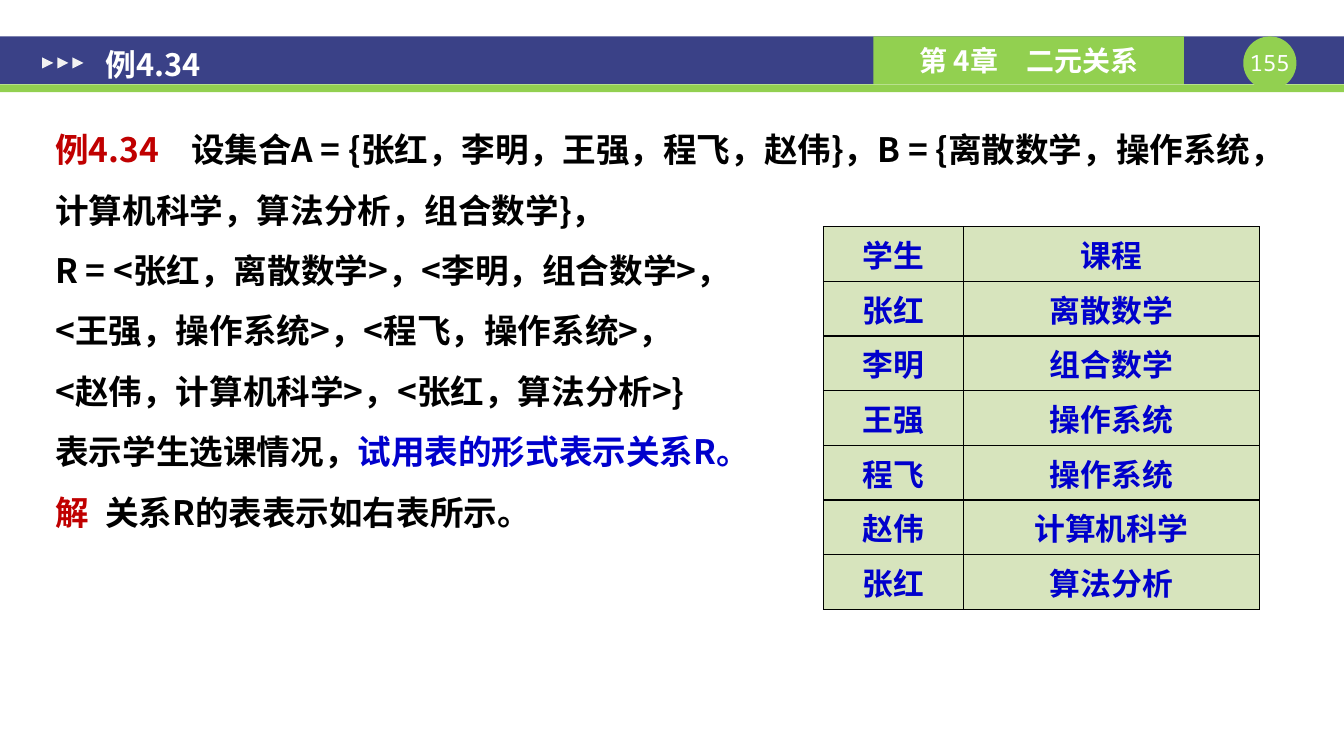
from pptx import Presentation
from pptx.dml.color import RGBColor
from pptx.enum.shapes import MSO_SHAPE as SHAPE
from pptx.enum.text import MSO_ANCHOR as ANCHOR, MSO_AUTO_SIZE as AUTO, PP_ALIGN as ALIGN
from pptx.oxml import parse_xml
from pptx.oxml.ns import nsdecls, qn
from pptx.util import Pt

# Content
TITLE = "例4.34"
CHAPTER = "第 4章　二元关系"
PAGE = "155"
NAVY, GREEN, WHITE, BLACK = "3A4187", "92D050", "FFFFFF", "000000"
RED, BLUE, PALE, ARROW = "C00000", "0000CC", "D7E4BD", "F2F2F2"
SANS, MONO, SERIF = "Noto Sans CJK SC", "Noto Sans Mono", "Times New Roman"

# Each paragraph: tab stop in points (or None), then its runs
BODY = [
    (97, [("例4.34\t", RED),
          ("设集合A = {张红，李明，王强，程飞，赵伟}，B = {离散数学，操作系统，"
           "计算机科学，算法分析，组合数学}，", BLACK)]),
    (None, [("R = <张红，离散数学>，<李明，组合数学>，", BLACK)]),
    (None, [("<王强，操作系统>，<程飞，操作系统>，", BLACK)]),
    (None, [("<赵伟，计算机科学>，<张红，算法分析>}", BLACK)]),
    (None, [("表示学生选课情况，", BLACK), ("试用表的形式表示关系R。", BLUE)]),
    (35.5, [("解\t", RED), ("关系R的表表示如右表所示。", BLACK)]),
]
COURSES = [
    ("学生", "课程"),
    ("张红", "离散数学"),
    ("李明", "组合数学"),
    ("王强", "操作系统"),
    ("程飞", "操作系统"),
    ("赵伟", "计算机科学"),
    ("张红", "算法分析"),
]
COL_WIDTHS = (100, 211.5)
ROW_HEIGHT = 33.6


def rgb(value):
    return RGBColor.from_string(value)


def add_run(p, text, color, size, font=SANS, bold=True):
    r = p.add_run()
    r.text = text
    for name, value in {"name": font, "size": Pt(size), "bold": bold}.items():
        setattr(r.font, name, value)
    r.font.color.rgb = rgb(color)
    east = SANS if font == SERIF else font
    r.font.color  # the fill comes before the typefaces
    latin = r.font._element.find(qn("a:latin"))
    latin.addnext(parse_xml(f'<a:ea {nsdecls("a")} typeface="{east}"/>'))


def format_frame(tf, margins, anchor=ANCHOR.TOP, wrap=True):
    x, y = (Pt(m) for m in margins)
    values = {"margin_left": x, "margin_right": x, "margin_top": y, "margin_bottom": y,
              "vertical_anchor": anchor, "word_wrap": wrap, "auto_size": AUTO.NONE}
    for name, value in values.items():
        setattr(tf, name, value)


def add_block(s, kind, box, color):
    sp = s.shapes.add_shape(kind, *(Pt(v) for v in box))
    sp.shadow.inherit = False
    sp.fill.solid()
    sp.fill.fore_color.rgb = rgb(color)
    sp.line.fill.background()
    return sp


def add_borders(cell):
    tc_pr = cell._tc.get_or_add_tcPr()
    for i, side in enumerate(("lnL", "lnR", "lnT", "lnB")):
        tc_pr.insert(i, parse_xml(
            f'<a:{side} {nsdecls("a")} w="12700"><a:solidFill>'
            f'<a:srgbClr val="{BLACK}"/></a:solidFill></a:{side}>'))


def add_header(s):
    # Bars and page badge
    add_block(s, SHAPE.RECTANGLE, (0, 26, 960.5, 34), NAVY)
    add_block(s, SHAPE.RECTANGLE, (0, 60.3, 960.5, 5.6), GREEN)
    badge = add_block(s, SHAPE.OVAL, (888.5, 26, 38, 38), GREEN)
    chapter = add_block(s, SHAPE.RECTANGLE, (624.2, 26, 222, 34), GREEN)
    labels = [(badge, PAGE, 16, MONO, False), (chapter, CHAPTER, 20, SANS, True)]
    for sp, text, size, font, bold in labels:
        format_frame(sp.text_frame, (0, 0), ANCHOR.MIDDLE, False)
        p = sp.text_frame.paragraphs[0]
        p.alignment = ALIGN.CENTER
        add_run(p, text, WHITE, size, font, bold)

    # Three arrows
    for i in range(3):
        sp = add_block(s, SHAPE.ISOSCELES_TRIANGLE, (30.2 + 10.8 * i, 41, 7.9, 7.9), ARROW)
        sp.rotation = 90

    # Title, in front of the bars
    title = s.shapes.title
    title.left, title.top, title.width, title.height = Pt(66.2), Pt(23), Pt(847.4), Pt(46)
    format_frame(title.text_frame, (9.4, 5), ANCHOR.MIDDLE)
    p = title.text_frame.paragraphs[0]
    p.alignment = ALIGN.LEFT
    add_run(p, TITLE, WHITE, 22)
    s.shapes.element.append(title.element)


def add_body(s):
    tf = s.shapes.add_textbox(Pt(30.2), Pt(72.7), Pt(912.2), Pt(370.8)).text_frame
    format_frame(tf, (9.4, 5))
    for i, (tab, runs) in enumerate(BODY):
        p = tf.add_paragraph() if i else tf.paragraphs[0]
        p.line_spacing = 1.5
        if tab:
            p._p.get_or_add_pPr().append(parse_xml(
                f'<a:tabLst {nsdecls("a")}><a:tab pos="{Pt(tab)}" algn="l"/></a:tabLst>'))
        for text, color in runs:
            add_run(p, text, color, 24)


def add_courses(s):
    table = s.shapes.add_table(len(COURSES), len(COL_WIDTHS), Pt(588.5), Pt(162),
                               Pt(sum(COL_WIDTHS)), Pt(ROW_HEIGHT * len(COURSES))).table
    table.first_row = table.horz_banding = False
    for col, width in zip(table.columns, COL_WIDTHS):
        col.width = Pt(width)
    for row, texts in zip(table.rows, COURSES):
        row.height = Pt(ROW_HEIGHT)
        for cell, text in zip(row.cells, texts):
            cell.fill.solid()
            cell.fill.fore_color.rgb = rgb(PALE)
            add_borders(cell)
            p = cell.text_frame.paragraphs[0]
            p.alignment = ALIGN.CENTER
            add_run(p, text, BLUE, 22, SERIF)


def main():
    prs = Presentation()
    prs.slide_width, prs.slide_height = Pt(960.5), Pt(540)
    s = prs.slides.add_slide(prs.slide_layouts[5])
    add_header(s)
    add_body(s)
    add_courses(s)
    prs.save("out.pptx")


if __name__ == "__main__":
    main()
